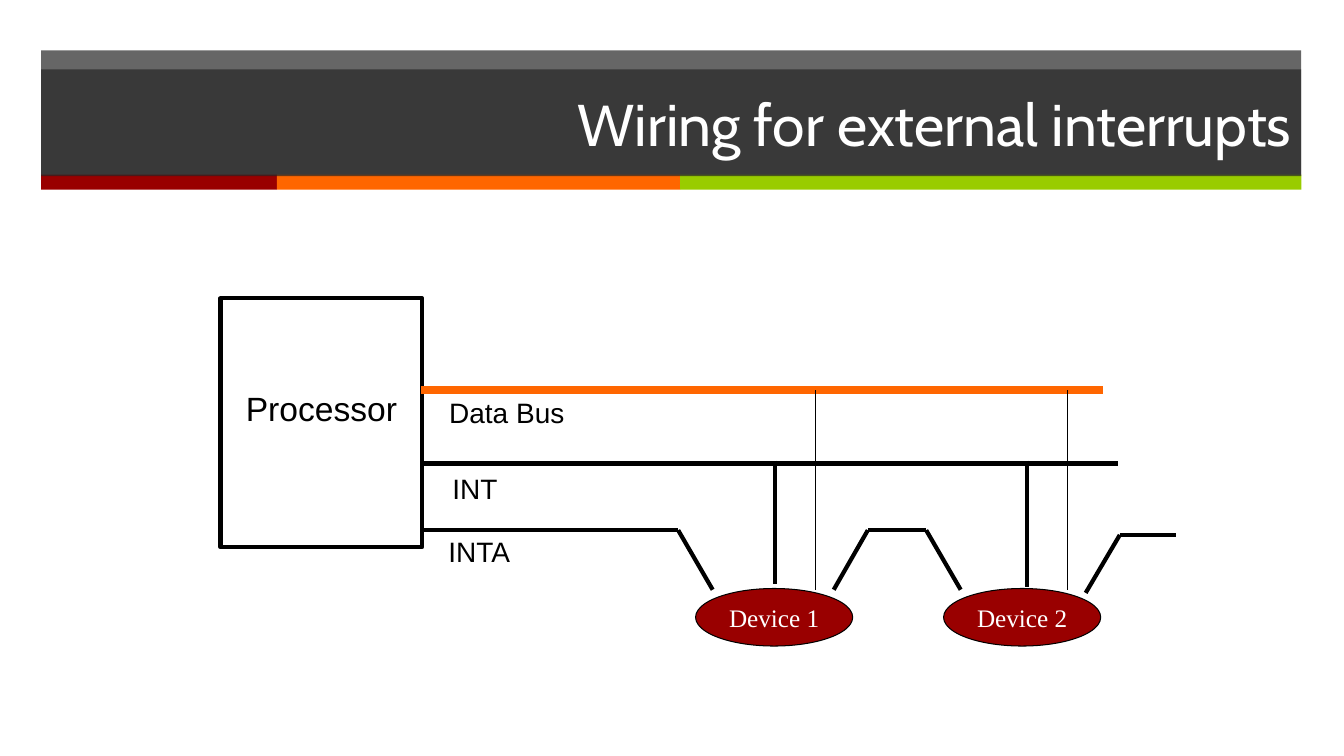
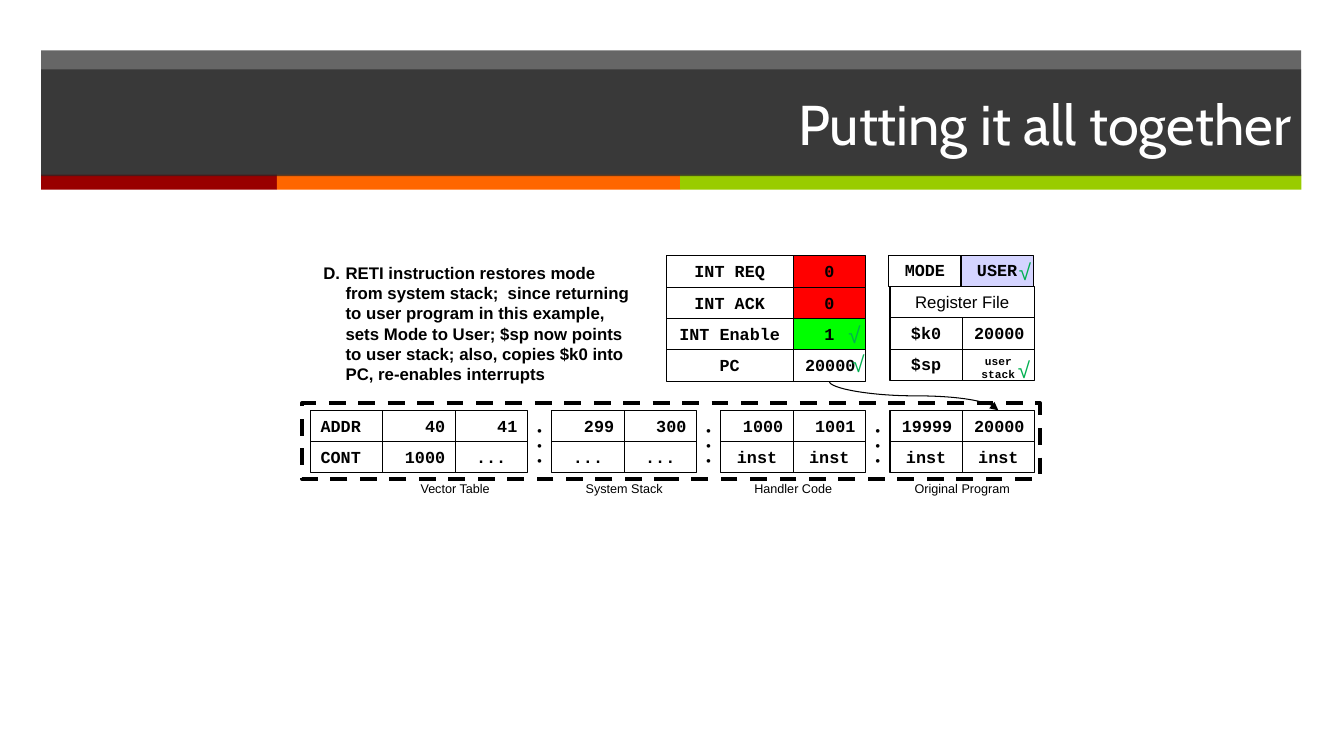
from dataclasses import dataclass
from itertools import pairwise

from lxml.etree import SubElement
from pptx import Presentation
from pptx.dml.color import RGBColor
from pptx.enum.dml import MSO_LINE
from pptx.enum.shapes import MSO_CONNECTOR as CONN, MSO_SHAPE as SHAPE
from pptx.enum.text import MSO_ANCHOR as ANCHOR, PP_ALIGN as ALIGN
from pptx.oxml.ns import qn
from pptx.util import Cm, Pt

COLORS = {
    "band": "262626", "maroon": "990000", "orange": "FF6600", "lime": "99CC00",
    "black": "000000", "white": "FFFFFF", "red": "FF0000", "green": "00FF00",
    "lavender": "D4D4FF", "check": "00B050",
}
TITLE_FONT, BODY_FONT, CODE_FONT, DEVICE_FONT = (
    "Cabin", "Arial", "Courier New", "Times New Roman")
BAND_X, BAND_W = 1.04, 31.75
STRIPES = (("maroon", 5.94), ("orange", 10.16), ("lime", 15.66))
CELL_W, CELL_H = 1.82, 0.79
BLOCK_X, BLOCK_PITCH, MEMORY_Y = 9.65, 4.26, 10.34


@dataclass
class Wire:
    points: list[tuple[float, float]]
    color: str = "black"
    width: float = 3


@dataclass
class Label:
    text: str
    x: float
    y: float


@dataclass
class Block:
    name: str
    addresses: tuple[str, str]
    contents: tuple[str, str]


@dataclass
class Flag:
    name: str
    value: str
    fill: str | None = None


def rgb(name):
    return RGBColor.from_string(COLORS[name])


def put_text(sp, text, *, size, font=BODY_FONT, color="black", bold=False,
             align=ALIGN.LEFT, anchor=ANCHOR.TOP, wrap=True, hanging=0.0):
    tf = sp.text_frame
    tf.word_wrap = wrap
    tf.vertical_anchor = anchor
    for i, line in enumerate(text.split("\n")):
        p = tf.add_paragraph() if i else tf.paragraphs[0]
        p.alignment = align
        if hanging:
            pPr = p._p.get_or_add_pPr()
            pPr.set("marL", str(Cm(hanging)))
            pPr.set("indent", str(-Cm(hanging)))
        r = p.add_run()
        r.text = line
        r.font.size, r.font.name, r.font.bold = Pt(size), font, bold
        r.font.color.rgb = rgb(color)


def add_box(s, x: float, y: float, w: float, h: float, *, shape=SHAPE.RECTANGLE,
            fill=None, line=None, width: float = 0.75, alpha=None):
    sp = s.shapes.add_shape(shape, Cm(x), Cm(y), Cm(w), Cm(h))
    sp.shadow.inherit = False
    if fill:
        sp.fill.solid()
        sp.fill.fore_color.rgb = rgb(fill)
        if alpha:
            clr = sp.fill._xPr.find(f"{qn('a:solidFill')}/{qn('a:srgbClr')}")
            SubElement(clr, qn("a:alpha"), val=str(alpha * 1000))
    else:
        sp.fill.background()
    if line:
        sp.line.color.rgb = rgb(line)
        sp.line.width = Pt(width)
    else:
        sp.line.fill.background()
    return sp


def add_label(s, text: str, x: float, y: float, w: float, h: float, **fmt):
    sp = s.shapes.add_textbox(Cm(x), Cm(y), Cm(w), Cm(h))
    put_text(sp, text, **fmt)
    return sp


def add_line(s, start, end, *, color="black", width: float = 3,
             kind=CONN.STRAIGHT):
    c = s.shapes.add_connector(kind, *(Cm(v) for v in (*start, *end)))
    c.line.color.rgb = rgb(color)
    c.line.width = Pt(width)
    SubElement(c._element.spPr, qn("a:effectLst"))
    return c


def add_wire(s, wire: Wire):
    for start, end in pairwise(wire.points):
        add_line(s, start, end, color=wire.color, width=wire.width)


def add_down_curve(s, start, end):
    c = add_line(s, start, end, width=0.75, kind=CONN.CURVE)
    run, drop = end[0] - start[0], end[1] - start[1]
    mid_x, mid_y = (start[0] + end[0]) / 2, (start[1] + end[1]) / 2
    c.left, c.top = Cm(mid_x - drop / 2), Cm(mid_y - run / 2)
    c.width, c.height = Cm(drop), Cm(run)
    xfrm = c._element.spPr.find(qn("a:xfrm"))
    xfrm.set("rot", "16200000")
    xfrm.set("flipH", "1")
    SubElement(c.line._get_or_add_ln(), qn("a:tailEnd"), type="triangle")


def add_cell(s, text: str, x: float, y: float, *, w: float = CELL_W, fill=None,
             align=None, size=12, font=CODE_FONT, bold=True):
    if align is None:
        align = ALIGN.RIGHT if text.isdigit() and len(text) > 1 else ALIGN.CENTER
    sp = add_box(s, x, y, w, CELL_H, fill=fill, line="black")
    put_text(sp, text, size=size, font=font, bold=bold, align=align)


def new_slide(prs, title: str, size: int):
    s = prs.slides.add_slide(prs.slide_layouts[6])
    add_box(s, BAND_X, 1.27, BAND_W, 3.15, fill="band", alpha=70)
    x = BAND_X
    for color, w in STRIPES:
        add_box(s, x, 4.4, w, 0.38, fill=color)
        x += w
    sp = add_box(s, BAND_X, 1.75, BAND_W, 2.69, fill="band", alpha=70)
    put_text(sp, title, size=size, font=TITLE_FONT, color="white",
             align=ALIGN.RIGHT, anchor=ANCHOR.MIDDLE)
    return s


def build_wiring(prs):
    s = new_slide(prs, "Wiring for external interrupts", 42)
    processor = add_box(s, 5.56, 7.52, 5.08, 6.27, line="black", width=3)
    processor.text_frame.margin_top = Cm(2.25)
    put_text(processor, "Processor", size=24, align=ALIGN.CENTER)

    bus_y, int_y, inta_y, device_y = 9.83, 11.68, 13.36, 14.86
    wires = [
        Wire([(10.62, bus_y), (27.79, bus_y)], "orange", 6),
        Wire([(10.62, int_y), (28.17, int_y)]),
        Wire([(19.53, 11.61), (19.53, 14.71)]),
        Wire([(25.88, 11.61), (25.88, 14.78)]),
        Wire([(20.55, device_y), (20.55, bus_y)], width=0.75),
        Wire([(26.9, device_y), (26.9, bus_y)], width=0.75),
        Wire([(10.64, inta_y), (17.09, inta_y), (17.96, device_y)]),
        Wire([(21.01, device_y), (21.87, inta_y), (23.34, inta_y),
              (24.21, device_y)]),
        Wire([(27.36, 14.94), (28.22, 13.48), (29.64, 13.48)]),
    ]
    for wire in wires:
        add_wire(s, wire)

    for label in (Label("Data Bus", 11.07, 9.83), Label("INT", 11.15, 11.76),
                  Label("INTA", 11.05, 13.34)):
        add_label(s, label.text, label.x, label.y, 4.4, 1.1, size=20)

    for i in range(2):
        device = add_box(s, 17.53 + i * 6.3, 14.83, 3.96, 1.45,
                         shape=SHAPE.OVAL, fill="maroon", line="black")
        device.left = Cm(17.53 + i * 6.25)
        put_text(device, f"Device {i + 1}", size=18, font=DEVICE_FONT,
                 color="white", align=ALIGN.CENTER, anchor=ANCHOR.MIDDLE,
                 wrap=False)


def add_memory(s, blocks: list[Block]):
    add_box(s, 7.62, 10.16, 18.59, 1.91, line="black",
            width=3).line.dash_style = MSO_LINE.DASH
    for row, text in enumerate(("ADDR", "CONT")):
        add_cell(s, text, BLOCK_X - CELL_W, MEMORY_Y + row * CELL_H,
                 align=ALIGN.LEFT)
    for i, block in enumerate(blocks):
        x = BLOCK_X + i * BLOCK_PITCH
        for row, texts in enumerate((block.addresses, block.contents)):
            for col, text in enumerate(texts):
                add_cell(s, text, x + col * CELL_W, MEMORY_Y + row * CELL_H)
        add_label(s, block.name, x, 11.99, 2 * CELL_W, 0.64, size=9,
                  align=ALIGN.CENTER)
        if i:
            gap = BLOCK_PITCH - 2 * CELL_W
            dots = add_label(s, "•\n•\n•", x - gap, 10.52, gap, 1.42, size=9,
                             bold=True, align=ALIGN.CENTER,
                             anchor=ANCHOR.MIDDLE)
            dots.text_frame.margin_left = dots.text_frame.margin_right = 0


def build_together(prs):
    s = new_slide(prs, "Putting it all together", 40)
    add_label(
        s, "D.\tRETI instruction restores mode from system stack;  since "
        "returning to user program in this example, sets Mode to User; $sp "
        "now points to user stack; also, copies $k0 into PC, re-enables "
        "interrupts", 7.9, 6.5, 8.25, 2.92, size=12, bold=True, hanging=0.56)

    add_memory(s, [
        Block("Vector Table", ("40", "41"), ("1000", "...")),
        Block("System Stack", ("299", "300"), ("...", "...")),
        Block("Handler Code", ("1000", "1001"), ("inst", "inst")),
        Block("Original Program", ("19999", "20000"), ("inst", "inst")),
    ])

    flag_x, flag_y, name_w = 16.79, 6.45, 3.2
    flags = [Flag("INT REQ", "0", "red"), Flag("INT ACK", "0", "red"),
             Flag("INT Enable", "1", "green"), Flag("PC", "20000")]
    for i, flag in enumerate(flags):
        y = flag_y + i * CELL_H
        add_cell(s, flag.name, flag_x, y, w=name_w)
        add_cell(s, flag.value, flag_x + name_w, y, fill=flag.fill)

    reg_x, reg_y = BLOCK_X + 3 * BLOCK_PITCH, 6.43
    add_cell(s, "MODE", reg_x - 0.03, reg_y)
    add_cell(s, "USER", reg_x - 0.03 + CELL_W, reg_y, fill="lavender")
    add_cell(s, "Register File", reg_x, reg_y + CELL_H, w=2 * CELL_W,
             font=BODY_FONT, bold=False)
    registers = (("$k0", "20000", 12), ("$sp", "user\nstack", 8))
    for i, (name, value, size) in enumerate(registers, start=2):
        add_cell(s, name, reg_x, reg_y + i * CELL_H)
        add_cell(s, value, reg_x + CELL_W, reg_y + i * CELL_H, size=size)

    add_down_curve(
        s, (flag_x + name_w + CELL_W / 2, flag_y + len(flags) * CELL_H),
        (reg_x + 1.5 * CELL_W, MEMORY_Y))

    for x, y in ((25.4, 8.84), (25.43, 6.38), (21.23, 8.71), (21.13, 7.98)):
        add_label(s, "√", x, y, 0.82, 0.94, size=16, color="check")


def main():
    prs = Presentation()
    prs.slide_width, prs.slide_height = Cm(33.87), Cm(19.05)
    build_wiring(prs)
    build_together(prs)
    prs.save("out.pptx")


if __name__ == "__main__":
    main()
